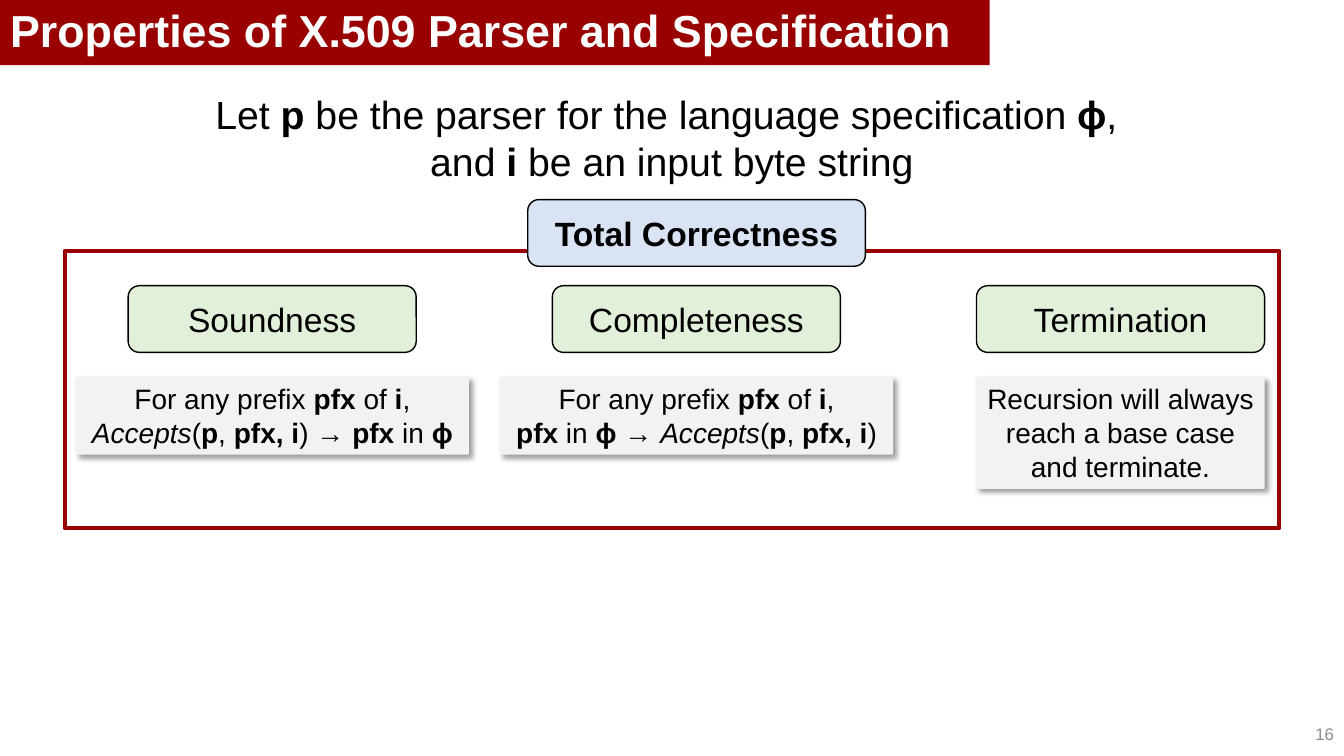
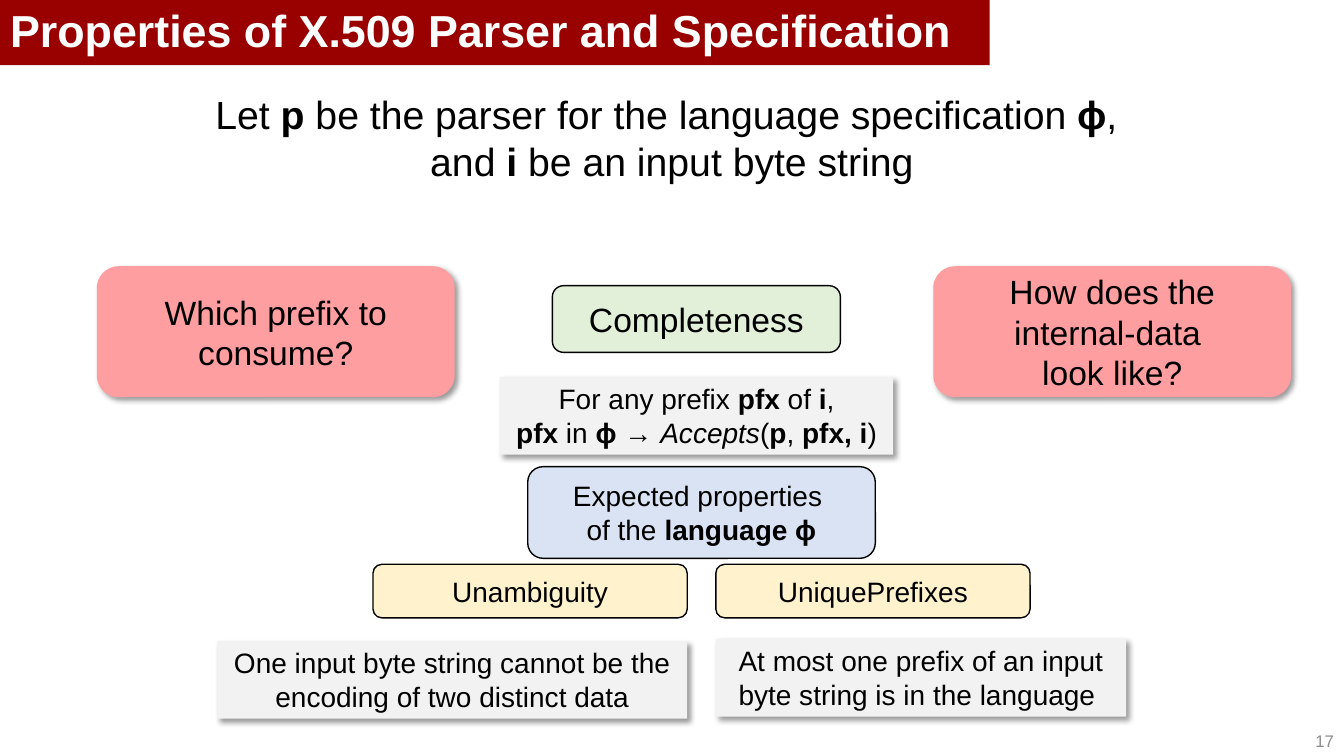
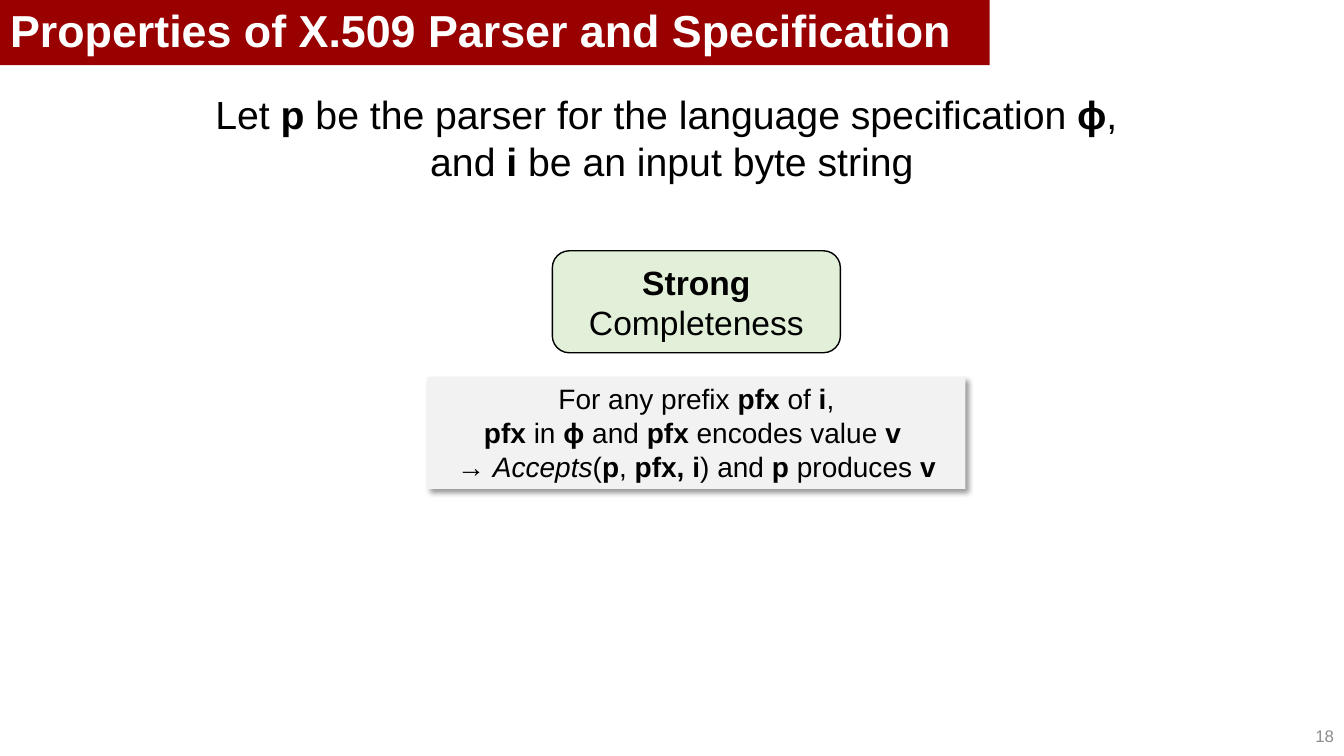
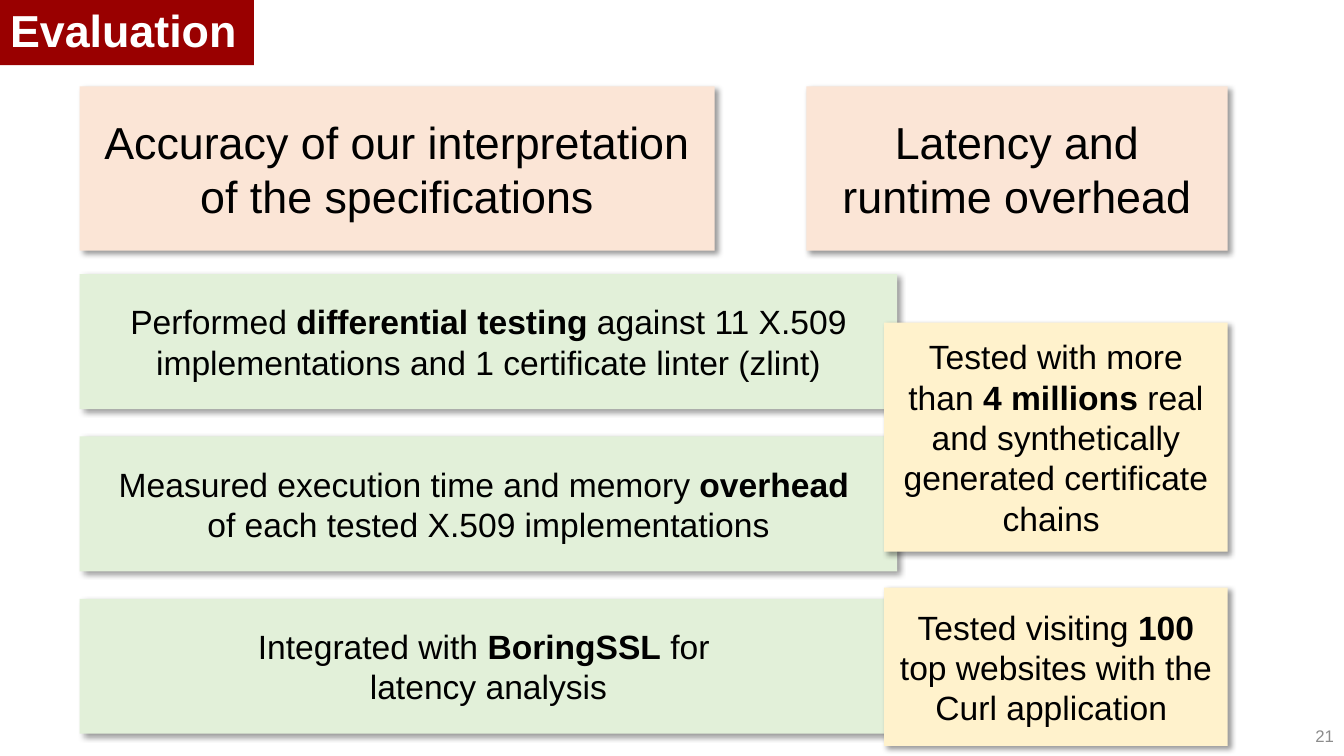
from dataclasses import dataclass

from lxml.etree import SubElement
from pptx import Presentation
from pptx.dml.color import RGBColor as RGB
from pptx.enum.shapes import MSO_SHAPE as Form
from pptx.enum.text import MSO_ANCHOR as Anchor, MSO_AUTO_SIZE as Fit, PP_ALIGN as Align
from pptx.oxml.ns import qn
from pptx.util import Cm, Pt


@dataclass(frozen=True)
class Theme:
    font: str = "Arial"
    black: str = "000000"
    white: str = "FFFFFF"
    red: str = "990000"
    gray: str = "8C8C8C"
    pale: str = "F2F2F2"
    green: str = "E2F0D9"
    blue: str = "DAE3F3"
    cream: str = "FFF2CC"
    pink: str = "FF9EA1"
    peach: str = "FBE5D6"
    head: int = 32
    lead: int = 28
    big: int = 24
    body: int = 20
    tiny: int = 12


T = Theme()
PILL = dict(form=Form.ROUNDED_RECTANGLE, line=T.black)
CARD = dict(form=Form.RECTANGLE, shade=True)
STYLES = {
    "prop": dict(PILL, fill=T.green, size=T.big),
    "total": dict(PILL, fill=T.blue, size=T.big),
    "goal": dict(PILL, fill=T.blue, size=T.body),
    "trait": dict(PILL, fill=T.cream, size=T.body),
    "note": dict(CARD, fill=T.pale, size=T.body, anchor=Anchor.TOP, fit=Fit.SHAPE_TO_FIT_TEXT),
    "ask": dict(CARD, form=Form.ROUNDED_RECTANGLE, fill=T.pink, size=T.big),
    "topic": dict(CARD, fill=T.peach, size=T.head),
    "step": dict(CARD, fill=T.green, size=T.big),
    "test": dict(CARD, fill=T.cream, size=T.big),
    "frame": dict(form=Form.RECTANGLE, line=T.red, weight=3),
    "lead": dict(size=T.lead, anchor=Anchor.TOP, wrap=False, fit=Fit.SHAPE_TO_FIT_TEXT),
    "page": dict(size=T.tiny, color=T.gray, align=Align.RIGHT),
}

# Boxes are left, top, width, height in cm.
WIDE, HIGH = 33.87, 19.05
COLS = [6.86 + 10.69 * i for i in range(3)]
MID = COLS[1]
AXIS, GAP = 17.68, 0.72
NEAR, FAR = AXIS - GAP / 2, AXIS + GAP / 2
LEFT, RIGHT = 2.01, 30.94


def mid(x, top, wide, high):
    """Box centred on x."""
    return x - wide / 2, top, wide, high


def end(x, top, wide, high):
    """Box whose right edge is x."""
    return x - wide, top, wide, high


# In text, *bold* and _italic_; each line is a paragraph.
PROPS = "Properties of X.509 Parser and Specification"
LEAD = ("lead", (4.75, 2.16, 24.36, 2.64),
        "Let *p* be the parser for the language specification *ɸ*, \n"
        "and *i* be an input byte string")
PREFIX = "For any prefix *pfx* of *i*,\n"
CALL = "_Accepts_(*p*, *pfx, i*)"


def prop(x, text):
    return "prop", mid(x, 7.2, 7.26, 1.68), text


def note(x, text, wide=9.91, high=1.96):
    return "note", mid(x, 9.5, wide, high), text


COMPLETE = [prop(MID, "Completeness"),
            note(MID, PREFIX + "*pfx* in *ɸ *→ " + CALL)]
STEPS = [
    "Performed *differential testing* against 11 X.509 implementations"
    " and 1 certificate linter (zlint)",
    "Measured execution time and memory *overhead *\nof each tested X.509 implementations",
    "Integrated with *BoringSSL* for \nlatency analysis",
]

SLIDES = [
    dict(title=PROPS, band=24.94, page="16", foot=17.98, parts=[
        LEAD,
        prop(COLS[0], "Soundness"),
        note(COLS[0], PREFIX + CALL + " → *pfx* in *ɸ*"),
        *COMPLETE,
        prop(COLS[2], "Termination"),
        note(COLS[2], "Recursion will always reach a base case and terminate.", 7.26, 2.82),
        ("frame", mid(WIDE / 2, 6.32, 30.61, 6.99), ""),
        ("total", mid(MID, 5.03, 8.51, 1.68), "*Total Correctness*"),
    ]),
    dict(title=PROPS, band=24.94, page="17", foot=18.16, parts=[
        LEAD,
        *COMPLETE,
        ("trait", end(NEAR, 14.22, 7.92, 1.35), "Unambiguity"),
        ("note", end(NEAR, 16.15, 11.84, 1.96),
         "One input byte string cannot be the encoding of two distinct data"),
        ("trait", (FAR, 14.22, 7.92, 1.35), "UniquePrefixes"),
        ("goal", mid(AXIS, 11.76, 8.76, 2.31), "Expected properties \nof the *language ɸ*"),
        ("note", (FAR, 16.1, 10.34, 1.96),
         "At most one prefix of an input byte string is in the language "),
        ("ask", (2.44, 6.71, 9.02, 3.3), "Which prefix to consume?"),
        ("ask", (23.52, 6.71, 9.02, 3.3), "How does the internal-data \nlook like?"),
    ]),
    dict(title=PROPS, band=24.94, page="18", foot=18.03, parts=[
        LEAD,
        ("prop", mid(MID, 6.32, 7.26, 2.57), "*Strong* Completeness"),
        note(MID, PREFIX + "*pfx* in *ɸ *and *pfx* encodes value *v *\n→ "
             + CALL + " and *p* produces *v*", 13.56, 2.82),
    ]),
    dict(title="Evaluation", band=6.4, page="21", foot=18.03, parts=[
        ("topic", end(RIGHT, 2.18, 10.62, 4.14), "Latency and runtime overhead"),
        ("topic", (LEFT, 2.18, 16, 4.14),
         "Accuracy of our interpretation of the specifications"),
        *[("step", (LEFT, 6.91 + 4.09 * i, 20.6, 3.4), text) for i, text in enumerate(STEPS)],
        ("test", end(RIGHT, 8.13, 8.66, 5.77),
         "Tested with more than *4 millions* real and synthetically"
         " generated certificate chains "),
        ("test", end(RIGHT, 14.81, 8.66, 3.99),
         "Tested visiting *100* top websites with the Curl application "),
    ]),
]


def assign(item, **values):
    for name, value in values.items():
        setattr(item, name, value)


def paint(fill, color):
    fill.solid()
    fill.fore_color.rgb = RGB.from_string(color)


def shade(shape):
    """Soft shadow to the lower right."""
    effects = shape._element.spPr.find(qn("a:effectLst"))
    outer = SubElement(effects, qn("a:outerShdw"), blurRad=str(Pt(4)), dist=str(Pt(3)),
                       dir=str(45 * 60000), algn="tl", rotWithShape="0")
    color = SubElement(outer, qn("a:srgbClr"), val=T.black)
    SubElement(color, qn("a:alpha"), val="40000")


def write(frame, text, size, color=T.black, align=Align.CENTER, anchor=Anchor.MIDDLE,
          wrap=True, fit=Fit.NONE, space=1.0):
    assign(frame, word_wrap=wrap, auto_size=fit, vertical_anchor=anchor)
    for i, line in enumerate(text.split("\n")):
        para = frame.add_paragraph() if i else frame.paragraphs[0]
        assign(para, alignment=align, line_spacing=space)
        for b, chunk in enumerate(line.split("*")):
            for s, piece in enumerate(chunk.split("_")):
                if piece:
                    run = para.add_run()
                    run.text = piece
                    assign(run.font, name=T.font, size=Pt(size),
                           bold=b % 2 == 1, italic=s % 2 == 1)
                    run.font.color.rgb = RGB.from_string(color)


def draw(slide, kind, box, text):
    style = dict(STYLES[kind])
    form, fill, line = (style.pop(key, None) for key in ("form", "fill", "line"))
    weight, dark = style.pop("weight", 1), style.pop("shade", False)
    place = [Cm(round(n, 2)) for n in box]
    if form is None:
        shape = slide.shapes.add_textbox(*place)
    else:
        shape = slide.shapes.add_shape(form, *place)
        shape.shadow.inherit = False
        if fill:
            paint(shape.fill, fill)
        else:
            shape.fill.background()
        if line:
            paint(shape.line.fill, line)
            shape.line.width = Pt(weight)
        else:
            shape.line.fill.background()
        if dark:
            shade(shape)
    if text:
        write(shape.text_frame, text, **style)


def build(deck, title, band, page, foot, parts):
    slide = deck.slides.add_slide(deck.slide_layouts[5])
    head = slide.shapes.title
    assign(head, left=0, top=0, width=Cm(band), height=Cm(1.64))
    paint(head.fill, T.red)
    write(head.text_frame, f"*{title}*", T.head, T.white, Align.LEFT, space=0.9)
    draw(slide, "page", end(WIDE, foot, 7.62, 1.02), page)
    for part in parts:
        draw(slide, *part)


def main():
    deck = Presentation()
    assign(deck, slide_width=Cm(WIDE), slide_height=Cm(HIGH))
    for data in SLIDES:
        build(deck, **data)
    deck.save("out.pptx")


if __name__ == "__main__":
    main()
